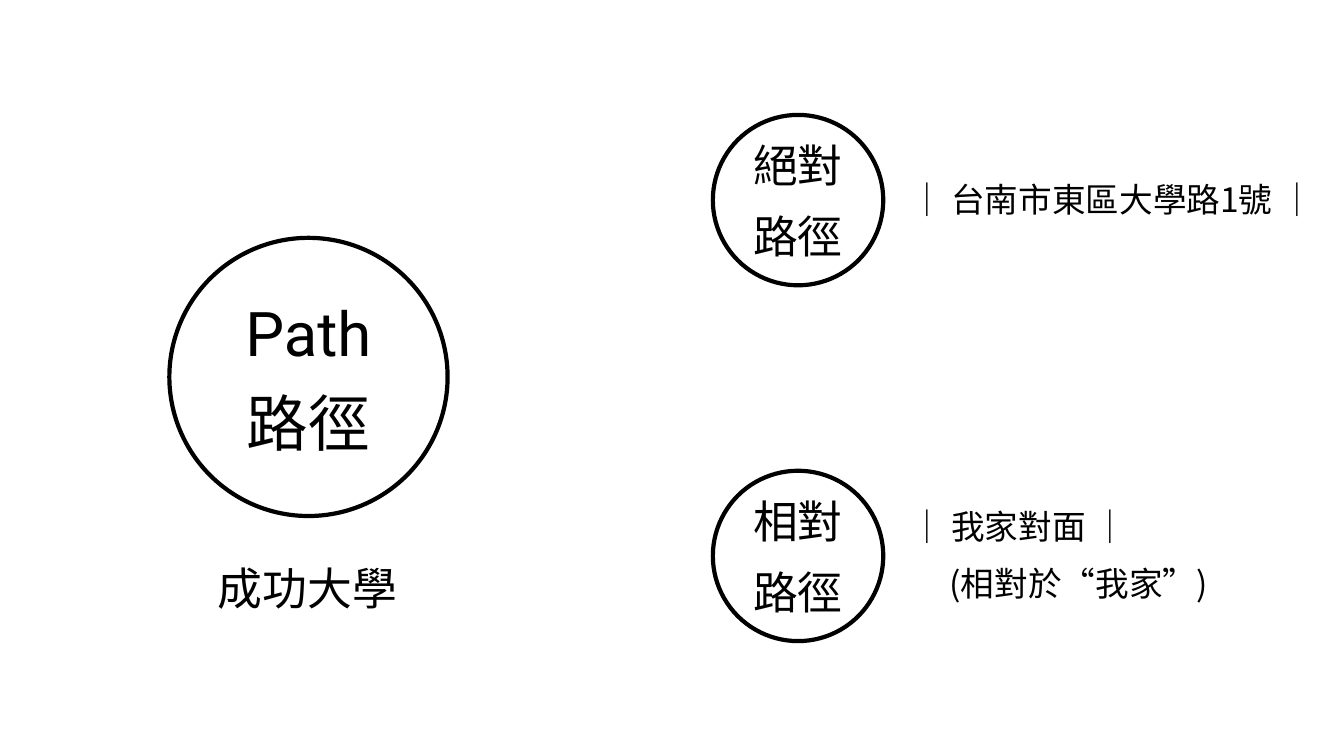
from pptx import Presentation
from pptx.dml.color import RGBColor
from pptx.enum.shapes import MSO_SHAPE as Preset
from pptx.enum.text import MSO_ANCHOR as Anchor, MSO_AUTO_SIZE as AutoSize, PP_ALIGN as Align
from pptx.oxml.ns import qn
from pptx.util import Emu, Pt

THEME = {
    "ink": RGBColor(0, 0, 0),
    "paper": RGBColor(255, 255, 255),
    "latin": "Roboto",
    "cjk": "Noto Sans CJK JP",
    "topic": 44,
    "kind": 32,
    "example": 24,
    "outline": 3,
    "gap": 12,
}
SCALE = 9144


def px(length):
    return Emu(length * SCALE)


def write(frame, lines, size, align, gap):
    frame.word_wrap = True
    for index, line in enumerate(lines):
        paragraph = frame.paragraphs[0] if index == 0 else frame.add_paragraph()
        paragraph.text = line
        paragraph.alignment = align
        paragraph.space_before = Pt(gap)
        font = paragraph.runs[0].font
        font.size = Pt(size)
        font.color.rgb = THEME["ink"]
        font.name = THEME["latin"] if line.isascii() else THEME["cjk"]
        east_asian = font._element.makeelement(qn("a:ea"), {"typeface": THEME["cjk"]})
        font._element.find(qn("a:latin")).addnext(east_asian)


deck = Presentation()
deck.slide_width, deck.slide_height = px(1333), px(750)
slide = deck.slides.add_slide(deck.slide_layouts[6])
slide.background.fill.solid()
slide.background.fill.fore_color.rgb = THEME["paper"]

circles = [
    (168, 236, 276, ["Path", "路徑"], THEME["topic"]),
    (707, 114, 169, ["絕對", "路徑"], THEME["kind"]),
    (707, 467, 169, ["相對", "路徑"], THEME["kind"]),
]
for left, top, diameter, lines, size in circles:
    circle = slide.shapes.add_shape(Preset.OVAL, px(left), px(top), px(diameter), px(diameter))
    circle.shadow.inherit = False
    circle.fill.background()
    circle.line.color.rgb = THEME["ink"]
    circle.line.width = Pt(THEME["outline"])
    circle.text_frame.vertical_anchor = Anchor.MIDDLE
    write(circle.text_frame, lines, size, Align.CENTER, THEME["gap"])

captions = [
    (193, 551, 224, 64, ["成功大學"], THEME["kind"], Align.CENTER, 0),
    (893, 173, 428, 50, ["｜ 台南市東區大學路1號 ｜"], THEME["example"], Align.LEFT, 0),
    (893, 497, 331, 108, ["｜ 我家對面 ｜", "(相對於“我家”)"], THEME["example"], Align.LEFT, THEME["gap"]),
]
for left, top, width, height, lines, size, align, gap in captions:
    caption = slide.shapes.add_textbox(px(left), px(top), px(width), px(height))
    caption.text_frame.auto_size = AutoSize.SHAPE_TO_FIT_TEXT
    write(caption.text_frame, lines, size, align, gap)

relative_note = caption.text_frame.paragraphs[1]._p.get_or_add_pPr()
relative_note.set("marL", str(px(59)))
relative_note.set("indent", str(px(-20)))

deck.save("out.pptx")
